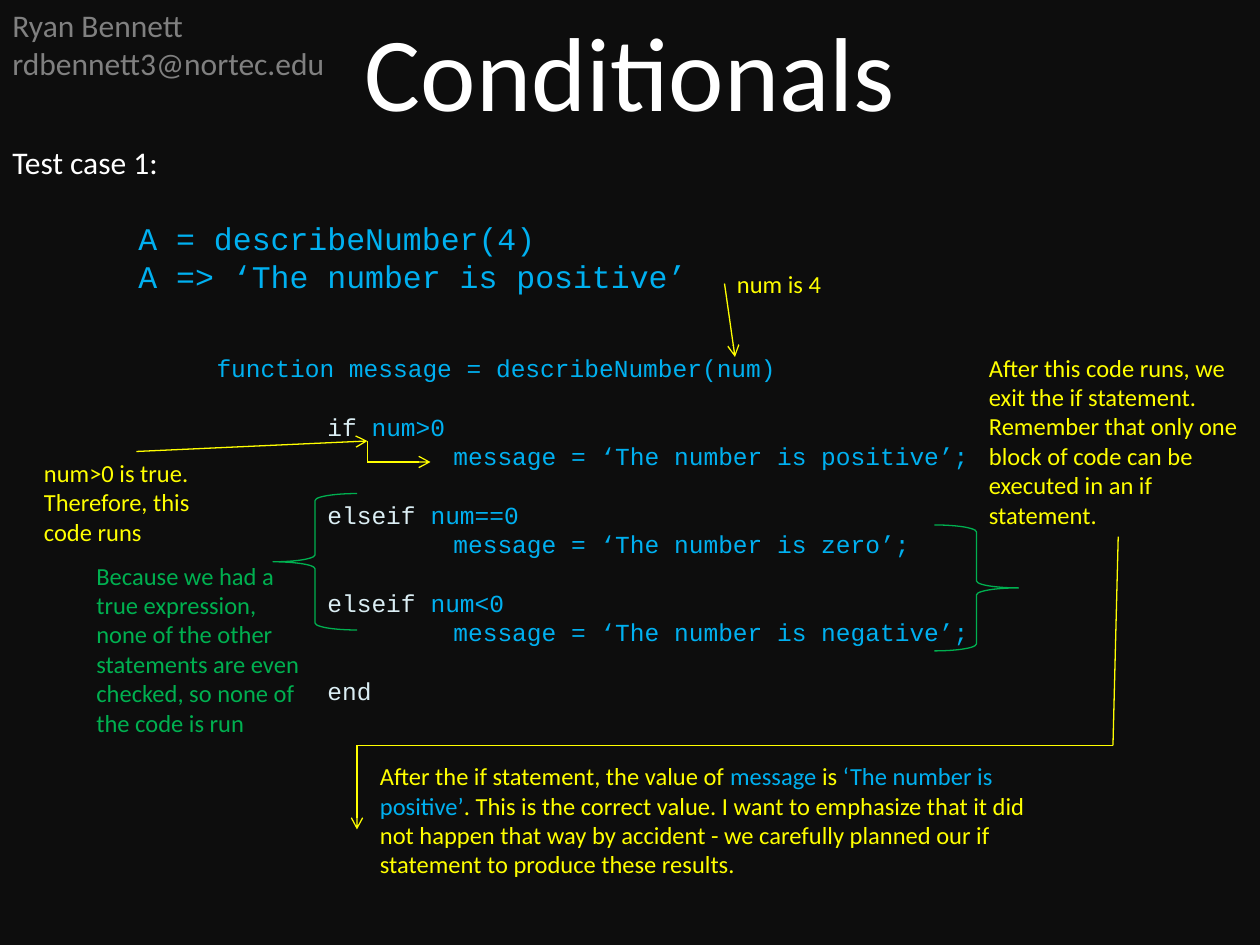
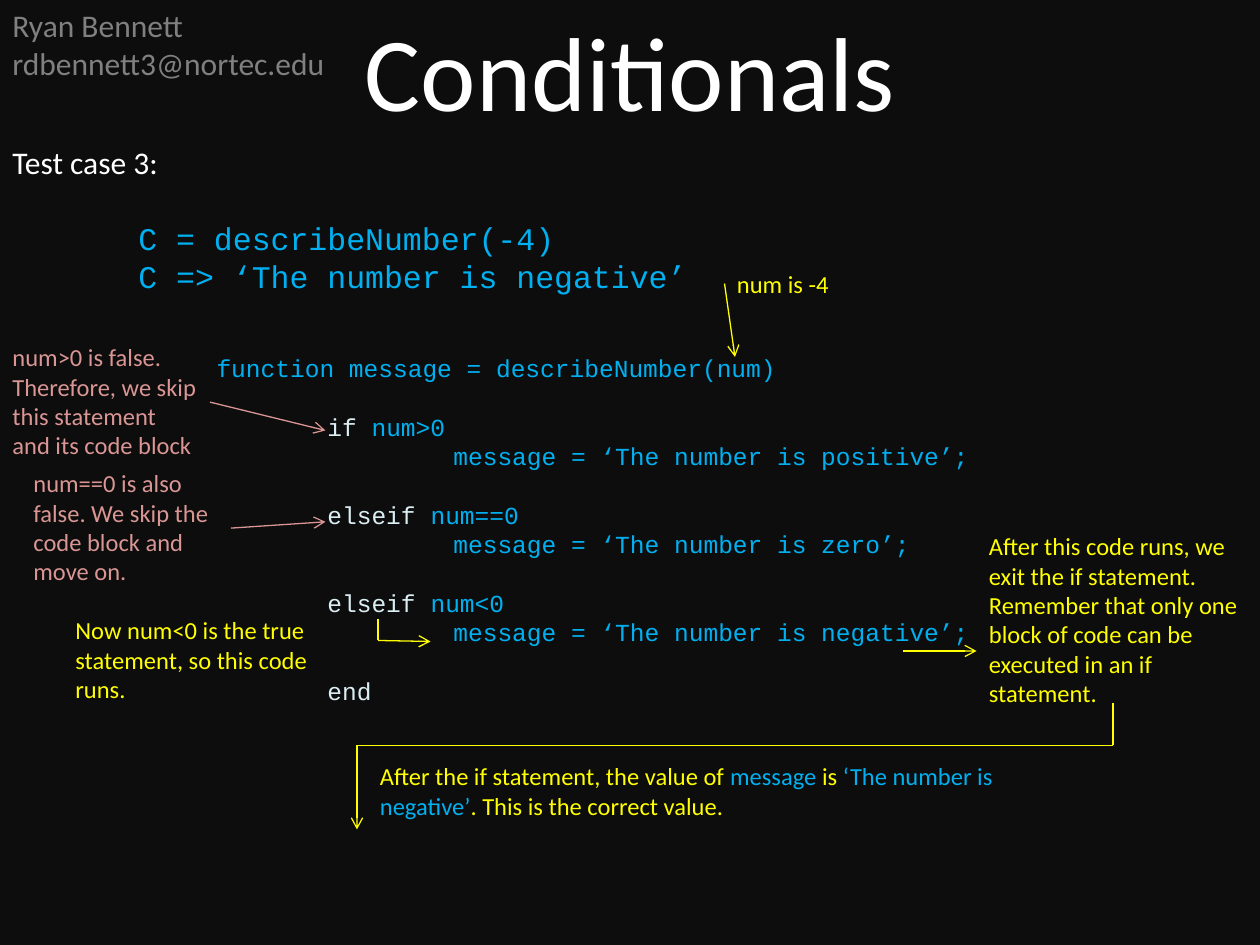
from lxml import etree
from pptx import Presentation
from pptx.dml.color import RGBColor
from pptx.enum.shapes import MSO_CONNECTOR, MSO_SHAPE
from pptx.enum.text import MSO_ANCHOR, MSO_AUTO_SIZE, PP_ALIGN
from pptx.oxml.ns import qn
from pptx.util import Inches, Pt

STRAIGHT = MSO_CONNECTOR.STRAIGHT
BRACE = MSO_SHAPE.RIGHT_BRACE
TOP = MSO_ANCHOR.TOP
FIXED = MSO_AUTO_SIZE.NONE
LEFT, CENTER = PP_ALIGN.LEFT, PP_ALIGN.CENTER

C = {
    "bg": "0D0D0D", "white": "FFFFFF", "grey": "808080", "code": "00B0F0",
    "keyword": "DBEEF4", "true": "FFFF00", "false": "D99694", "unused": "00B050",
}
BODY, MONO = "Calibri", "Courier New"
COLS, ROWS = 120, 90
TITLE_ONLY = 5
CASE_LINE, CODE_LINE = 21.8, 16.8
EXIT_NOTE = ("After this code runs, we exit the if statement. Remember that only "
             "one block of code can be executed in an if statement.")
BRANCHES = [("if", "num>0", "positive"), ("elseif", "num==0", "zero"),
            ("elseif", "num<0", "negative")]


def unit(n):
    return Inches(n * 10 / COLS)


def rgb(name):
    return RGBColor.from_string(C[name])


def add_text(tf, runs, first=False, size=14, color="white", font=BODY,
             align=LEFT, indent=0, before=0, spacing=None):
    p = tf.paragraphs[0] if first else tf.add_paragraph()
    p.alignment = align
    p.space_before = Pt(before)
    if spacing:
        p.line_spacing = Pt(spacing)
    if indent:
        pPr = p._p.get_or_add_pPr()
        pPr.set("marL", str(Inches(indent)))
        pPr.set("indent", "0")
    for text, run_color in [(runs, color)] if isinstance(runs, str) else runs:
        r = p.add_run()
        r.text = text
        r.font.size = Pt(size)
        r.font.name = font
        r.font.color.rgb = rgb(run_color)


def add_box(s, col, row, cols, rows):
    tf = s.shapes.add_textbox(unit(col), unit(row), unit(cols), unit(rows)).text_frame
    tf.word_wrap = True
    return tf


def add_note(s, col, row, cols, lines, runs, color="true"):
    tf = add_box(s, col, row, cols, 1.2 + 2.8 * lines)
    add_text(tf, runs, first=True, color=color)


def add_path(s, points, color="true", arrow=True):
    for i, (a, b) in enumerate(zip(points, points[1:]), 2):
        c = s.shapes.add_connector(STRAIGHT, *(unit(n) for n in a + b))
        c.line.color.rgb = rgb(color)
        c.line.width = Pt(0.75)
        spPr = c._element.spPr
        if arrow and i == len(points):
            etree.SubElement(spPr.find(qn("a:ln")), qn("a:tailEnd"), type="arrow")
        etree.SubElement(spPr, qn("a:effectLst"))


def add_brace(s, col, row, rows, rotation=0):
    sp = s.shapes.add_shape(BRACE, unit(col), unit(row), unit(8), unit(rows))
    sp.rotation = rotation
    sp.shadow.inherit = False
    sp.fill.background()
    sp.line.color.rgb = rgb("unused")
    sp.line.width = Pt(0.75)


def add_title(s):
    sp = s.shapes.title
    sp.left, sp.top, sp.width, sp.height = 0, 0, unit(COLS), unit(13.3)
    tf = sp.text_frame
    tf.auto_size = FIXED
    tf.vertical_anchor = TOP
    add_text(tf, "Conditionals", first=True, size=60, align=CENTER)


def add_author(s):
    tf = add_box(s, 0, 0, 50, 8.5)
    add_text(tf, "Ryan Bennett", first=True, size=18, color="grey")
    add_text(tf, "rdbennett3@nortec.edu", size=18, color="grey")


def add_case(s, number, name, value, result):
    tf = add_box(s, 0, 13, COLS, 34)
    add_text(tf, f"Test case {number}:", first=True, size=18)
    code = dict(size=18, color="code", font=MONO, indent=1, spacing=CASE_LINE)
    add_text(tf, f"{name} = describeNumber({value})", before=CASE_LINE, **code)
    add_text(tf, f"{name} => ‘The number is {result}’", **code)
    add_note(s, 69, 25, 15, 1, f"num is {value}")
    add_path(s, [(69, 27), (70, 34)])


def add_code(s):
    tf = add_box(s, 6, 33, 92, 38)
    code = dict(color="code", font=MONO, spacing=CODE_LINE)
    add_text(tf, "function message = describeNumber(num)", first=True, indent=1.12, **code)
    for keyword, test, result in BRANCHES:
        add_text(tf, [(keyword, "keyword"), (f" {test}", "code")],
                 indent=2, before=CODE_LINE, **code)
        add_text(tf, f"message = ‘The number is {result}’;", indent=3, **code)
    add_text(tf, [("end", "keyword")], indent=2, before=CODE_LINE, **code)


def add_outcome(s, exit_row, exit_start, result, lines, ending):
    add_note(s, 93, exit_row, 27, 6, EXIT_NOTE)
    add_path(s, [exit_start, (106, 71), (34, 71), (34, 79)])
    add_note(s, 35, 71.9, 64, lines, [
        ("After the if statement, the value of ", "true"), ("message", "code"),
        (" is ", "true"), (f"‘The number is {result}’", "code"), (ending, "true")])


def add_slide(prs, number, name, value, result):
    s = prs.slides.add_slide(prs.slide_layouts[TITLE_ONLY])
    add_author(s)
    add_title(s)
    add_case(s, number, name, value, result)
    add_code(s)
    return s


def positive_case(prs):
    s = add_slide(prs, 1, "A", 4, "positive")
    add_note(s, 3, 43, 20, 3, "num>0 is true. Therefore, this code runs")
    add_path(s, [(13, 43), (35, 42)])
    add_path(s, [(35, 42), (35, 44), (41, 44)])
    add_note(s, 8, 52.8, 23, 6,
             "Because we had a true expression, none of the other statements "
             "are even checked, so none of the code is run", color="unused")
    add_brace(s, 26, 47, 13, rotation=180)
    add_brace(s, 89, 50, 12)
    add_outcome(s, 33, (106.5, 51.1), "positive", 4,
                ". This is the correct value. I want to emphasize that it did not "
                "happen that way by accident - we carefully planned our if "
                "statement to produce these results.")


def negative_case(prs):
    s = add_slide(prs, 3, "C", -4, "negative")
    add_note(s, 0, 32, 20, 4, "num>0 is false. Therefore, we skip this statement "
             "and its code block", color="false")
    add_path(s, [(20, 38.3), (31, 41)], color="false")
    add_note(s, 2, 44, 20, 4, "num==0 is also false. We skip the code block "
             "and move on.", color="false")
    add_path(s, [(22, 50.3), (31, 49.7)], color="false")
    add_note(s, 6, 58, 27, 3, "Now num<0 is the true statement, so this code runs.")
    add_path(s, [(36, 59), (36, 61), (41, 61.1)])
    add_path(s, [(86, 62), (93, 62)])
    add_outcome(s, 50, (106, 67), "negative", 2, ". This is the correct value.")


def main():
    prs = Presentation()
    prs.slide_width, prs.slide_height = unit(COLS), unit(ROWS)
    fill = prs.slide_master.background.fill
    fill.solid()
    fill.fore_color.rgb = rgb("bg")
    positive_case(prs)
    negative_case(prs)
    prs.save("out.pptx")


main()
